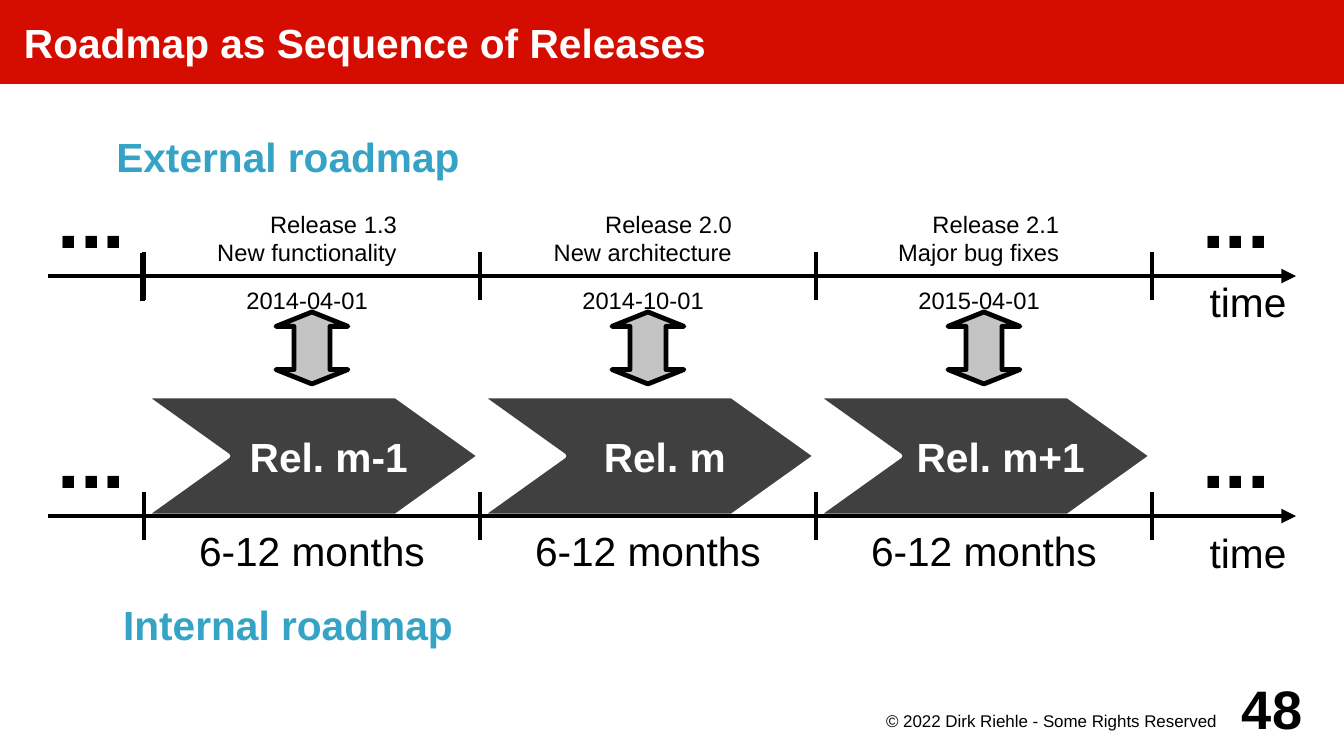
from lxml import etree
from pptx import Presentation
from pptx.dml.color import RGBColor
from pptx.enum.shapes import MSO_CONNECTOR, MSO_SHAPE
from pptx.enum.text import MSO_ANCHOR, PP_ALIGN
from pptx.oxml.ns import qn
from pptx.util import Cm, Pt

LEFT, CENTER, RIGHT = PP_ALIGN.LEFT, PP_ALIGN.CENTER, PP_ALIGN.RIGHT
TOP, MIDDLE, BOTTOM = MSO_ANCHOR.TOP, MSO_ANCHOR.MIDDLE, MSO_ANCHOR.BOTTOM
RECTANGLE, UP_DOWN_ARROW = MSO_SHAPE.RECTANGLE, MSO_SHAPE.UP_DOWN_ARROW
STRAIGHT = MSO_CONNECTOR.STRAIGHT

COLORS = {
    "red": "D50D01",
    "blue": "34A3C5",
    "dark": "404040",
    "gray": "C4C4C4",
    "black": "000000",
    "white": "FFFFFF",
}
COLORS = {name: RGBColor.from_string(value) for name, value in COLORS.items()}

FIRST_TICK, PERIOD = 3, 7
EXTERNAL_AXIS, INTERNAL_AXIS = 5.75, 10.75
RELEASES = [
    ("Release 1.3\nNew functionality", 1.73, "2014-04-01", "Rel. m-1"),
    ("Release 2.0\nNew architecture", 1.75, "2014-10-01", "Rel. m"),
    ("Release 2.1\nMajor bug fixes", 1.93, "2015-04-01", "Rel. m+1"),
]

presentation = Presentation()
presentation.slide_width = Cm(28)
presentation.slide_height = Cm(15.75)
slide = presentation.slides.add_slide(presentation.slide_layouts[6])


def write_text(text, area=None, shape=None, size=24, bold=False, color="black",
               align=CENTER, anchor=MIDDLE, insets=(0.2, 0.2, 0.2, 0.2)):
    if shape is None:
        shape = slide.shapes.add_textbox(*[Cm(length) for length in area])
    frame = shape.text_frame
    frame.word_wrap = True
    frame.vertical_anchor = anchor
    frame.margin_left, frame.margin_top, frame.margin_right, frame.margin_bottom = [
        Cm(inset) for inset in insets
    ]
    frame.text = text
    for paragraph in frame.paragraphs:
        paragraph.alignment = align
        paragraph.font.name = "Arial"
        paragraph.font.size = Pt(size)
        paragraph.font.bold = bold
        paragraph.font.color.rgb = COLORS[color]


def draw_line(x1, y1, x2, y2, width=2.83, arrow=False):
    connector = slide.shapes.add_connector(STRAIGHT, Cm(x1), Cm(y1), Cm(x2), Cm(y2))
    connector.line.color.rgb = COLORS["black"]
    connector.line.width = Pt(width)
    if arrow:
        line = connector.line._get_or_add_ln()
        etree.SubElement(line, qn("a:tailEnd"), type="triangle")
    etree.SubElement(connector._element.spPr, qn("a:effectLst"))


title_bar = slide.shapes.add_shape(RECTANGLE, 0, 0, Cm(28), Cm(1.75))
title_bar.shadow.inherit = False
title_bar.fill.solid()
title_bar.fill.fore_color.rgb = COLORS["red"]
title_bar.line.fill.background()
write_text("Roadmap as Sequence of Releases", shape=title_bar, bold=True,
           color="white", align=LEFT, insets=(0.5, 0, 0, 0))

for index, (release, release_inset, date, milestone) in enumerate(RELEASES):
    left = FIRST_TICK + index * PERIOD
    top, middle = INTERNAL_AXIS - 2.5, INTERNAL_AXIS - 1.25
    outline = [
        (left + 5.25, top),
        (left + 7, middle),
        (left + 5.25, INTERNAL_AXIS),
        (left, INTERNAL_AXIS),
        (left + 1.75, middle),
    ]
    builder = slide.shapes.build_freeform(Cm(left), Cm(top))
    builder.add_line_segments([(Cm(x), Cm(y)) for x, y in outline], close=True)
    chevron = builder.convert_to_shape()
    chevron.shadow.inherit = False
    chevron.fill.solid()
    chevron.fill.fore_color.rgb = COLORS["dark"]
    chevron.line.color.rgb = COLORS["white"]
    chevron.line.width = Pt(2.83)
    write_text(milestone, shape=chevron, bold=True, color="white",
               insets=(0.9, 0.2, 0.2, 0.2))

    write_text("6-12 months", (left, INTERNAL_AXIS, PERIOD, 1.5), anchor=TOP)
    write_text(release, (left, EXTERNAL_AXIS - 1.5, PERIOD, 1.5), size=14,
               align=RIGHT, anchor=BOTTOM, insets=(0, 0.2, release_inset, 0.2))
    write_text(date, (left, EXTERNAL_AXIS, PERIOD, 1.5), size=14,
               anchor=TOP, insets=(0, 0.2, 0.2, 0.2))

    arrow = slide.shapes.add_shape(UP_DOWN_ARROW, Cm(left + 2.75), Cm(6.5), Cm(1.5), Cm(1.5))
    geometry = arrow._element.spPr.find(qn("a:prstGeom"))
    for child in list(geometry):
        geometry.remove(child)
    guides = etree.SubElement(geometry, qn("a:avLst"))
    for name, value in [("adj1", 50000), ("adj2", 20000)]:
        etree.SubElement(guides, qn("a:gd"), name=name, fmla=f"val {value}")
    arrow.shadow.inherit = False
    arrow.fill.solid()
    arrow.fill.fore_color.rgb = COLORS["gray"]
    arrow.line.color.rgb = COLORS["black"]
    arrow.line.width = Pt(2.83)

for axis, time_top, time_height in [(EXTERNAL_AXIS, 5.6, 1.35), (INTERNAL_AXIS, 10.75, 1.5)]:
    draw_line(1, axis, 27, axis, width=2.89, arrow=True)
    for index in range(len(RELEASES) + 1):
        tick = FIRST_TICK + index * PERIOD
        draw_line(tick, axis - 0.5, tick, axis + 0.5)
    write_text("time", (24.5, time_top, 2.5, time_height), align=RIGHT)
    for left, align in [(1, LEFT), (24.5, CENTER)]:
        write_text("...", (left, axis - 2.5, 2.5, 2.5), size=48, bold=True, align=align)
draw_line(2.97, EXTERNAL_AXIS - 0.47, 2.97, EXTERNAL_AXIS + 0.53)

for heading, top in [("External roadmap", 2.25), ("Internal roadmap", 12)]:
    write_text(heading, (1, top, 10, 2), bold=True, color="blue")

write_text("© 2022 Dirk Riehle - Some Rights Reserved", (18, 14.75, 8, 0.75), size=10,
           align=RIGHT, anchor=TOP, insets=(0, 0.05, 0.66, 0))
write_text("48", (25.5, 14, 2, 1.5), size=32, bold=True, align=RIGHT,
           insets=(0, 0, 0.37, 0))

presentation.save("out.pptx")
